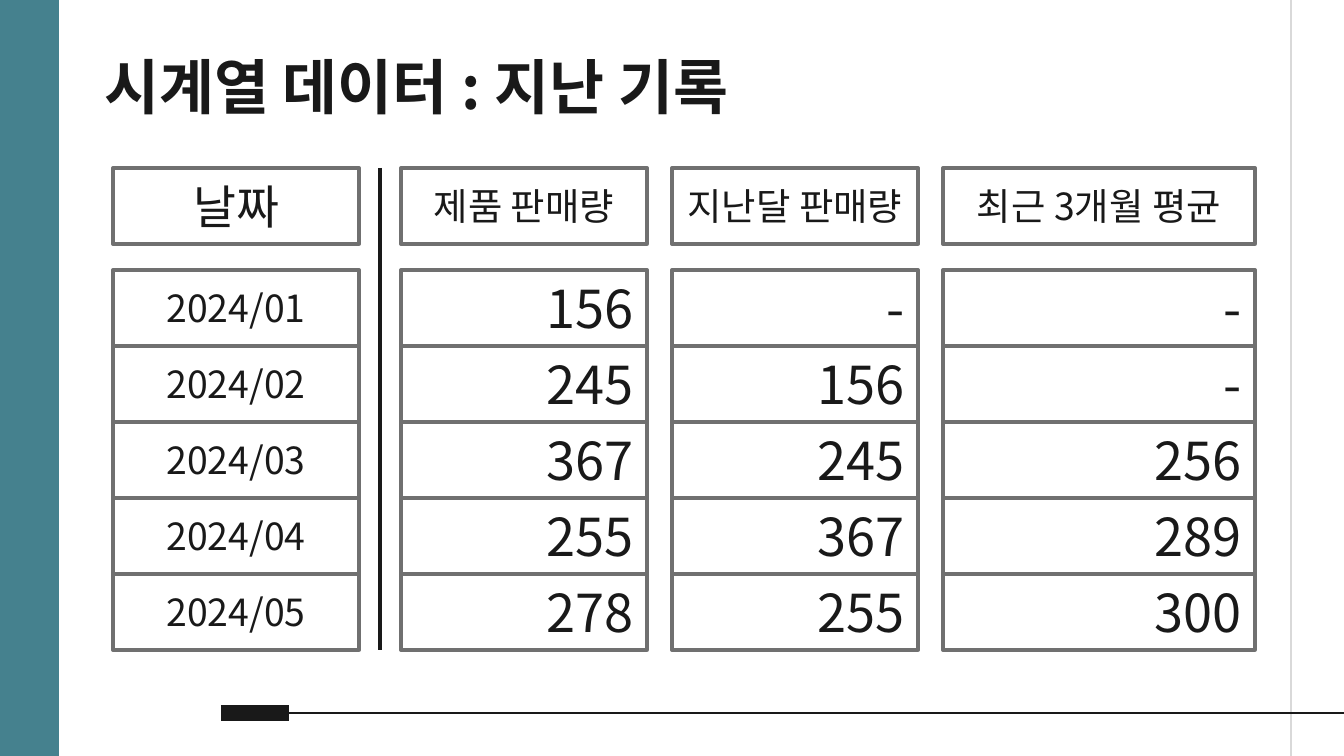
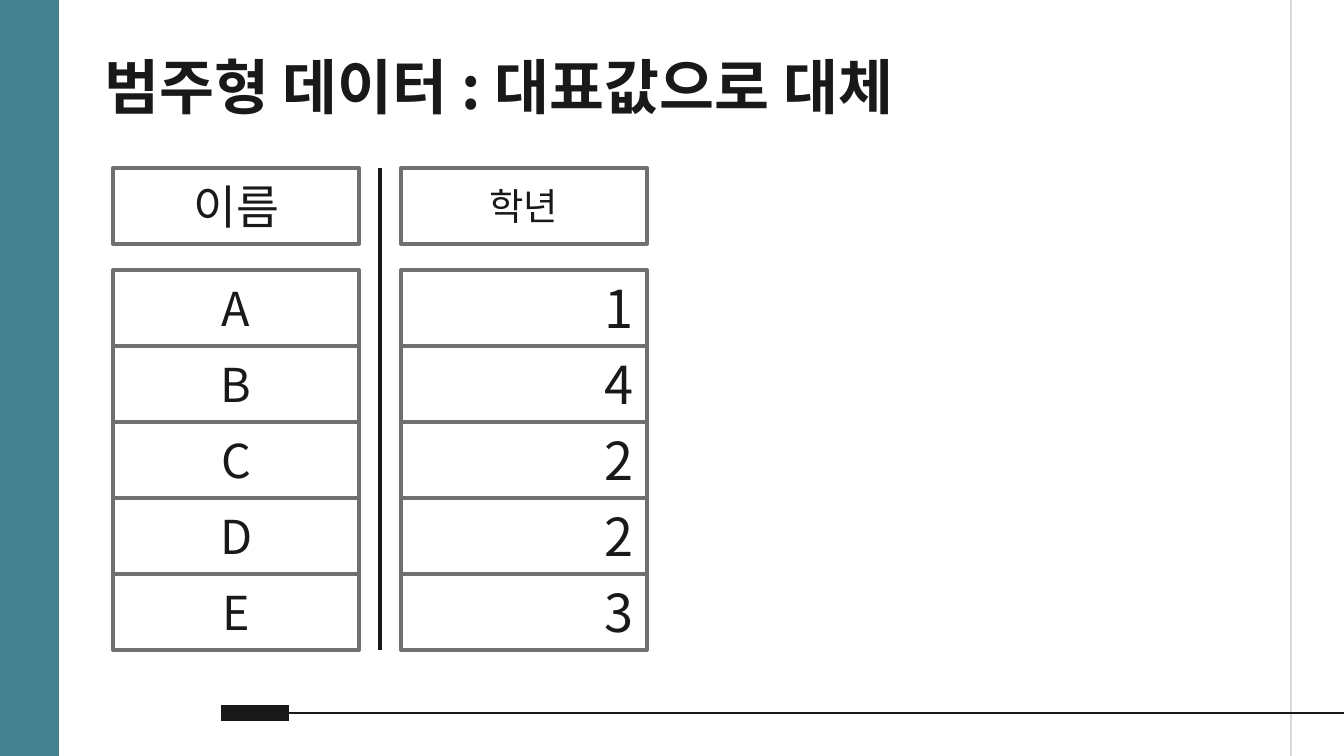
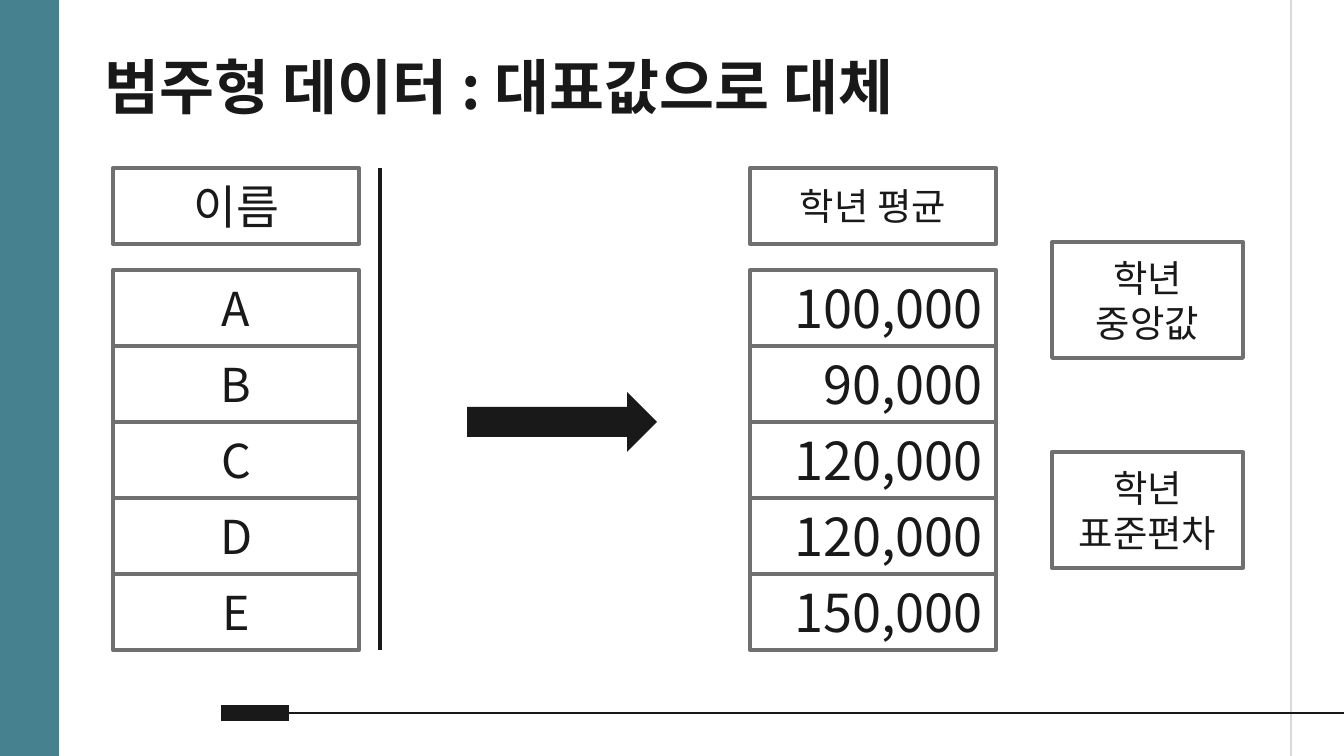
from lxml import etree
from pptx import Presentation
from pptx import util as u
from pptx.dml.color import RGBColor
from pptx.enum import shapes, text
from pptx.oxml.ns import qn

# Shared look
EMU_PER_PX = 914400 / 134.4
WIDTH, HEIGHT = 1344, 756
FONT = "Noto Sans CJK KR"
INK, TEAL, GREY, PALE, WHITE = "191919", "45818E", "707070", "D9D9D9", "FFFFFF"
CENTER, RIGHT = text.PP_ALIGN.CENTER, text.PP_ALIGN.RIGHT

# Column grid
HEAD_Y, BODY_Y, ROW_H = 168, 270, 76
KEY_X, DIVIDER_X, COL_W = 113, 380, 246
ROWS = 5


def px(n):
    return u.Emu(round(n * EMU_PER_PX))


def rgb(value):
    return RGBColor.from_string(value)


def format_text(tf, lines, size, align, bold=False, **paragraph_format):
    tf.word_wrap = True
    for i, line in enumerate(lines):
        p = tf.paragraphs[0] if i == 0 else tf.add_paragraph()
        for name, value in {"alignment": align, **paragraph_format}.items():
            setattr(p, name, value)
        r = p.add_run()
        r.text = line
        for name, value in {"name": FONT, "size": u.Pt(size), "bold": bold}.items():
            setattr(r.font, name, value)
        r.font.color.rgb = rgb(INK)
        ea = etree.SubElement(r.font._element, qn("a:ea"))
        ea.set("typeface", FONT)


def add_block(s, kind, x, y, w, h, fill, line=None):
    sp = s.shapes.add_shape(kind, px(x), px(y), px(w), px(h))
    sp.shadow.inherit = False
    sp.fill.solid()
    sp.fill.fore_color.rgb = rgb(fill)
    if line:
        sp.line.color.rgb = rgb(line)
        sp.line.width = u.Pt(2)
    else:
        sp.line.fill.background()
    return sp


def add_line(s, x1, y1, x2, y2, color, width):
    line = s.shapes.add_connector(
        shapes.MSO_CONNECTOR.STRAIGHT, px(x1), px(y1), px(x2), px(y2))
    line.line.color.rgb = rgb(color)
    line.line.width = u.Pt(width)
    etree.SubElement(line._element.spPr, qn("a:effectLst"))


def add_cell(s, x, y, w, h, lines, size, align=CENTER):
    sp = add_block(s, shapes.MSO_SHAPE.RECTANGLE, x, y, w, h, WHITE, GREY)
    sp.text_frame.vertical_anchor = text.MSO_ANCHOR.MIDDLE
    format_text(sp.text_frame, lines, size, align)


def add_column(s, x, head, values, w=COL_W, head_size=20, size=28, align=RIGHT):
    add_cell(s, x, HEAD_Y, w, ROW_H, [head], head_size)
    for row, value in enumerate(values):
        add_cell(s, x, BODY_Y + row * ROW_H, w, ROW_H, [value], size, align)


def add_key_column(s, head, keys, size=25):
    add_column(s, KEY_X, head, keys, head_size=25, size=size, align=CENTER)
    add_line(s, DIVIDER_X, HEAD_Y, DIVIDER_X, BODY_Y + ROWS * ROW_H, INK, 2.25)


def new_slide(prs, title):
    s = prs.slides.add_slide(prs.slide_layouts[5])
    # Side band, right rule and footer rule
    add_block(s, shapes.MSO_SHAPE.RECTANGLE, 0, 0, 59, HEIGHT, TEAL)
    add_line(s, 1291, 0, 1291, HEIGHT, PALE, 0.75)
    add_line(s, 221, 713, 289, 713, INK, 9)
    add_line(s, 289, 713, WIDTH, 713, INK, 0.75)
    # Title
    sp = s.shapes.title
    box = {"left": 91, "top": 44, "width": 898, "height": 85}
    for name, value in box.items():
        setattr(sp, name, px(value))
    tf = sp.text_frame
    frame = {"vertical_anchor": text.MSO_ANCHOR.TOP, "auto_size": text.MSO_AUTO_SIZE.NONE}
    frame.update({f"margin_{side}": u.Inches(0.1) for side in ("left", "top", "right", "bottom")})
    for name, value in frame.items():
        setattr(tf, name, value)
    format_text(tf, [title], 32, text.PP_ALIGN.LEFT, bold=True, line_spacing=0.9)
    return s


def main():
    prs = Presentation()
    prs.slide_width, prs.slide_height = px(WIDTH), px(HEIGHT)

    # Time series: past records
    s = new_slide(prs, "시계열 데이터 : 지난 기록")
    add_key_column(s, "날짜", [f"2024/{month:02}" for month in range(1, ROWS + 1)], size=20)
    sales = ["156", "245", "367", "255", "278"]
    add_column(s, 401, "제품 판매량", sales)
    add_column(s, 672, "지난달 판매량", ["-"] + sales[:-1])
    add_column(s, 943, "최근 3개월 평균", ["-", "-", "256", "289", "300"], w=312)

    # Categories: grade per name
    category_title = "범주형 데이터 : 대표값으로 대체"
    s = new_slide(prs, category_title)
    add_key_column(s, "이름", "ABCDE")
    add_column(s, 401, "학년", "14223")

    # Categories: grade replaced by its average
    s = new_slide(prs, category_title)
    add_key_column(s, "이름", "ABCDE")
    add_block(s, shapes.MSO_SHAPE.RIGHT_ARROW, 467, 392, 190, 60, INK)
    add_column(s, 750, "학년 평균", ["100,000", "90,000", "120,000", "120,000", "150,000"])
    add_cell(s, 1052, 242, 191, 116, ["학년", "중앙값"], 20)
    add_cell(s, 1052, 452, 191, 116, ["학년 표준편차"], 20)

    prs.save("out.pptx")


if __name__ == "__main__":
    main()
